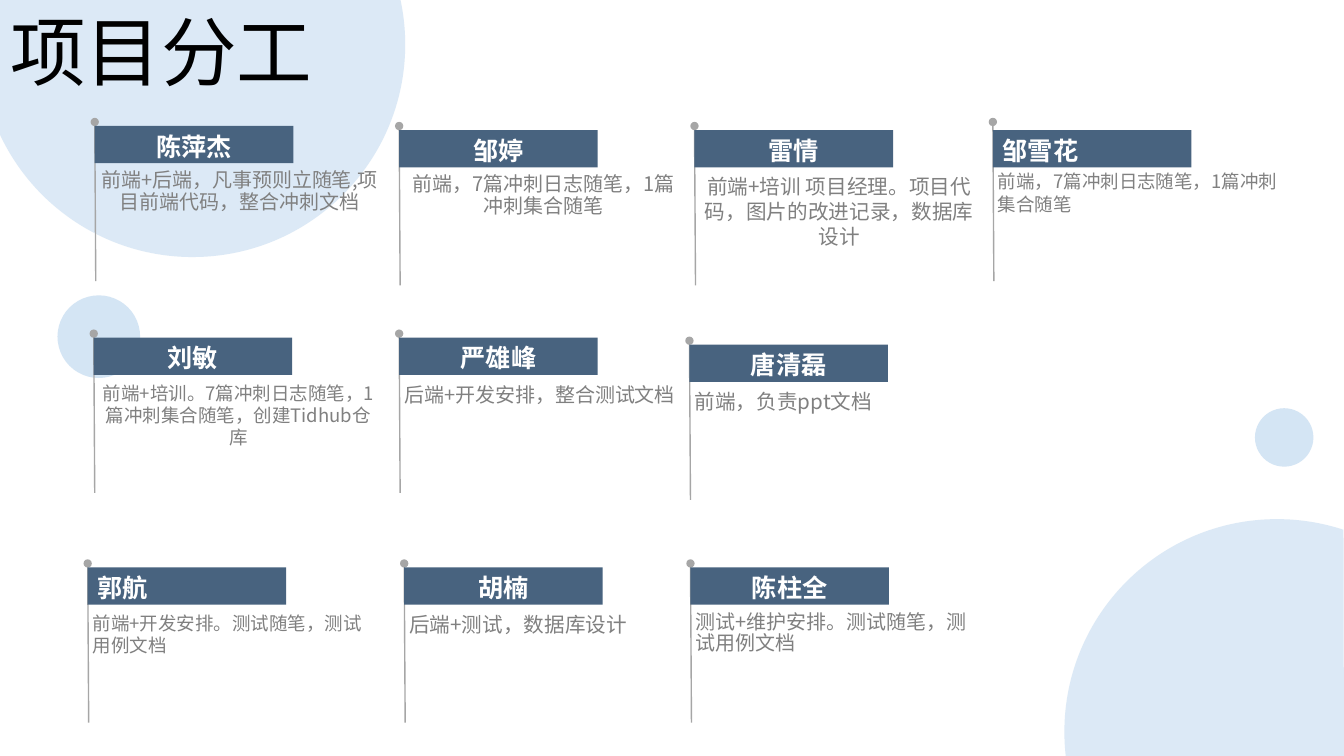
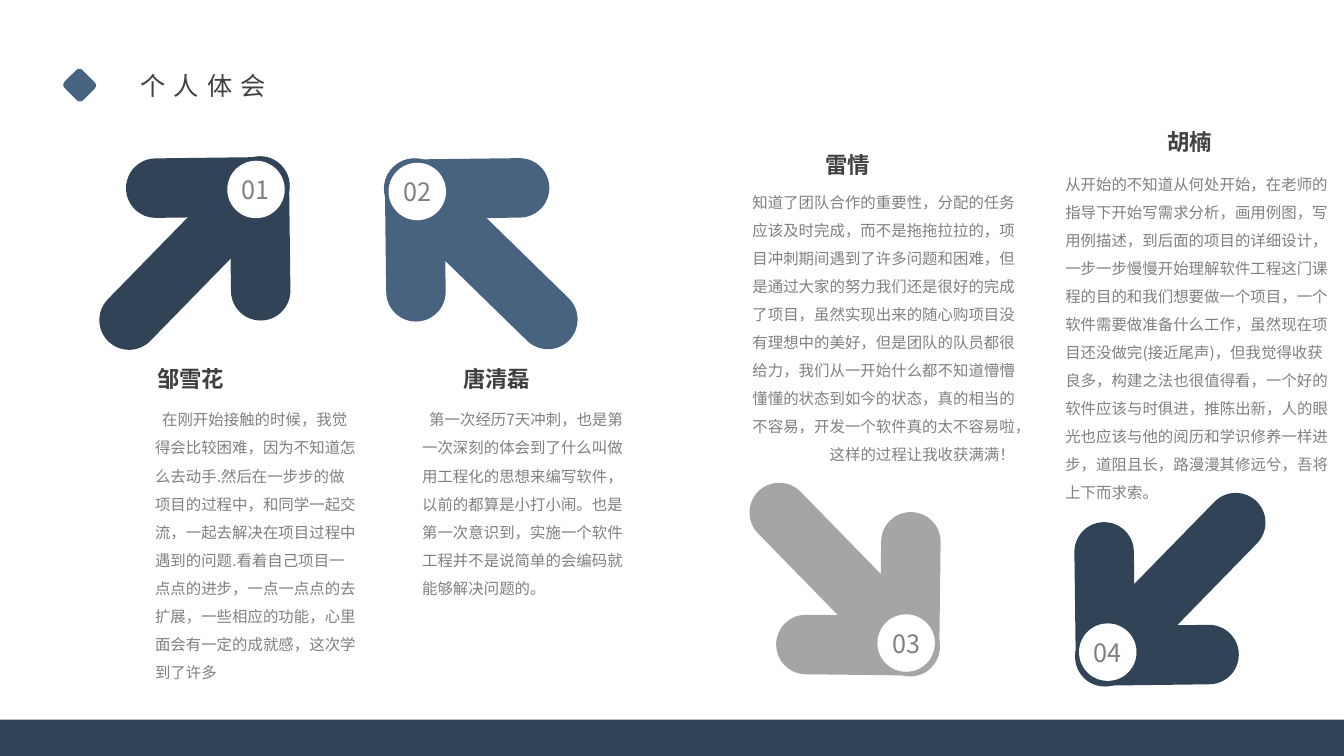
from math import cos, radians, sin, tan

from lxml import etree
from pptx import Presentation
from pptx.dml.color import RGBColor
from pptx.enum import shapes, text
from pptx.oxml import ns
from pptx.util import Pt

PX = 9144  # 100 px to the inch
SLIDE_W, SLIDE_H = 4000 / 3, 750  # 16:9
FONT = "Noto Sans CJK SC"
TITLE_ONLY = 5

NAVY = RGBColor(0x31, 0x44, 0x57)
STEEL = RGBColor(0x48, 0x63, 0x7F)
SKY = RGBColor(0xBD, 0xD7, 0xEE)
SILVER = RGBColor(0xA5, 0xA5, 0xA5)
POLE = RGBColor(0xA6, 0xA6, 0xA6)
BODY = RGBColor(0x80, 0x80, 0x80)
HEADING = RGBColor(0x40, 0x40, 0x40)
BLACK = RGBColor(0, 0, 0)
WHITE = RGBColor(0xFF, 0xFF, 0xFF)

LEFT, CENTER, RIGHT = text.PP_ALIGN.LEFT, text.PP_ALIGN.CENTER, text.PP_ALIGN.RIGHT
TOP, MIDDLE = text.MSO_ANCHOR.TOP, text.MSO_ANCHOR.MIDDLE
SHAPE = shapes.MSO_SHAPE

# x, y, name, task, task size, name alignment, task alignment, line spacing
# and, where it is unusual, the drop from pole top to flag
CARDS = [
    (94, 121, "陈萍杰", "前端+后端，凡事预则立随笔,项目前端代码，整合冲刺文档",
     14.3, CENTER, CENTER, 0.9),
    (396, 125, "邹婷", "前端，7篇冲刺日志随笔，1篇冲刺集合随笔",
     14.3, CENTER, CENTER, 0.9),
    (689, 125, "雷情", "前端+培训 项目经理。项目代码，图片的改进记录，数据库设计",
     14.7, CENTER, CENTER, 1.0),
    (985, 121, "邹雪花", "前端，7篇冲刺日志随笔，1篇冲刺集合随笔",
     13.2, LEFT, LEFT, 1.0, 8),
    (93, 331, "刘敏", "前端+培训。7篇冲刺日志随笔，1篇冲刺集合随笔，创建Tidhub仓库",
     13.2, CENTER, CENTER, 1.0),
    (396, 331, "严雄峰", "后端+开发安排，整合测试文档", 14.3, CENTER, LEFT, 1.0),
    (684, 338, "唐清磊", "前端，负责ppt文档", 14.7, CENTER, LEFT, 1.0),
    (87, 559, "郭航", "前端+开发安排。测试随笔，测试用例文档",
     13.2, LEFT, LEFT, 1.0),
    (401, 559, "胡楠", "后端+测试，数据库设计", 14.7, CENTER, LEFT, 1.0),
    (685, 559, "陈柱全", "测试+维护安排。测试随笔，测试用例文档",
     14.3, CENTER, LEFT, 0.9),
]

# number, tip, badge centre, sides of the tail, tilt, colour
ARROWS = [
    ("01", (258, 186), (254, 188), (-1, 1), -0.7, NAVY),
    ("02", (412, 187), (414, 190), (1, 1), -0.7, STEEL),
    ("03", (903, 640), (899, 638), (-1, -1), 0.7, SILVER),
    ("04", (1096, 650), (1099, 647), (1, -1), -0.7, NAVY),
]

# name, name box (x, y), name alignment, text box, text alignment, indent, text
REFLECTIONS = [
    ("邹雪花", (146, 357), LEFT, (144, 393, 220, 290), LEFT, 7,
     "在刚开始接触的时候，我觉得会比较困难，因为不知道怎么去动手."
     "然后在一步步的做项目的过程中，和同学一起交流，一起去解决在项目过程中遇到的问题."
     "看着自己项目一点点的进步，一点一点点的去扩展，一些相应的功能，"
     "心里面会有一定的成就感，这次学到了许多"),
    ("唐清磊", (417, 357), RIGHT, (409, 393, 220, 206), LEFT, 7,
     "第一次经历7天冲刺，也是第一次深刻的体会到了什么叫做用工程化的思想来编写软件，"
     "以前的都算是小打小闹。也是第一次意识到，"
     "实施一个软件工程并不是说简单的会编码就能够解决问题的。"),
    ("雷情", (809, 145), LEFT, (726, 177, 291, 290), RIGHT, 0,
     "知道了团队合作的重要性，分配的任务应该及时完成，而不是拖拖拉拉的，"
     "项目冲刺期间遇到了许多问题和困难，但是通过大家的努力我们还是很好的完成了项目，"
     "虽然实现出来的随心购项目没有理想中的美好，但是团队的队员都很给力，"
     "我们从一开始什么都不知道懵懵懂懂的状态到如今的状态，真的相当的不容易，"
     "开发一个软件真的太不容易啦，这样的过程让我收获满满！"),
    ("胡楠", (1148, 122), LEFT, (1047, 159, 286, 347), LEFT, 0,
     "从开始的不知道从何处开始，在老师的指导下开始写需求分析，画用例图，写用例描述，"
     "到后面的项目的详细设计，一步一步慢慢开始理解软件工程这门课程的目的和我们想要做一个项目，"
     "一个软件需要做准备什么工作，虽然现在项目还没做完(接近尾声)，但我觉得收获良多，"
     "构建之法也很值得看，一个好的软件应该与时俱进，推陈出新，"
     "人的眼光也应该与他的阅历和学识修养一样进步，道阻且长，路漫漫其修远兮，吾将上下而求索。"),
]


def emu(*lengths):
    return [round(length * PX) for length in lengths]


def paint(sp, color, opacity=100):
    sp.shadow.inherit = False
    sp.fill.solid()
    sp.fill.fore_color.rgb = color
    sp.line.fill.background()
    if opacity < 100:
        clr = sp.fill._xPr.find(".//" + ns.qn("a:srgbClr"))
        etree.SubElement(clr, ns.qn("a:alpha"), val=str(opacity * 1000))


def write(sp, words, size, color, align=LEFT, anchor=TOP, bold=False,
          inset=None, spacing=None, indent=0, tracking=0):
    """Put one formatted paragraph into a shape."""
    tf = sp.text_frame
    tf.text = words
    tf.word_wrap = True
    tf.auto_size = text.MSO_AUTO_SIZE.NONE
    tf.vertical_anchor = anchor
    if inset is not None:
        tf.margin_left = tf.margin_right = tf.margin_top = tf.margin_bottom = inset
    p = tf.paragraphs[0]
    p.alignment = align
    if spacing:
        p.line_spacing = spacing
    if indent:
        p._p.get_or_add_pPr().set("indent", str(indent * PX))
    r = p.runs[0]
    r.font.size, r.font.bold, r.font.name = Pt(size), bold, FONT
    r.font.color.rgb = color
    rpr = r._r.get_or_add_rPr()
    etree.SubElement(rpr, ns.qn("a:ea"), typeface=FONT)
    if tracking:
        rpr.set("spc", str(tracking * 100))


def add_text(slide, box, words, size, color, **style):
    write(slide.shapes.add_textbox(*emu(*box)), words, size, color, **style)


def add_block(slide, kind, box, color, opacity=100):
    sp = slide.shapes.add_shape(kind, *emu(*box))
    paint(sp, color, opacity)
    return sp


def add_title(slide, box, words, size, color, tracking=0):
    """Fill the title placeholder and bring it to the front."""
    title = slide.shapes.title
    title.left, title.top, title.width, title.height = emu(*box)
    write(title, words, size, color, tracking=tracking)
    title._element.getparent().append(title._element)


def add_clipped_disc(slide, cx, cy, radius, stops, corner):
    """Draw the part of a disc inside the slide: arcs between stops, and a corner."""
    angles = [radians(stop) for stop in stops]
    points = [emu(cx + radius * cos(a), cy + radius * sin(a)) for a in angles]
    outline = slide.shapes.build_freeform(*emu(*corner), scale=1.0)
    outline.add_line_segments(points, close=True)
    sp = outline.convert_to_shape()
    paint(sp, SKY, 53)
    arcs = list(sp._element.iter(ns.qn("a:lnTo")))[1:len(points)]
    for arc, a, b in zip(arcs, angles, angles[1:]):
        reach = 4 / 3 * tan((b - a) / 4)
        curve = etree.Element(ns.qn("a:cubicBezTo"))
        for angle, pull in ((a, reach), (b, -reach), (b, 0)):
            x, y = emu(cx + radius * (cos(angle) - pull * sin(angle)),
                       cy + radius * (sin(angle) + pull * cos(angle)))
            etree.SubElement(curve, ns.qn("a:pt"),
                             x=str(x - sp.left), y=str(y - sp.top))
        arc.getparent().replace(arc, curve)


def add_pole(slide, x, y):
    pole = slide.shapes.add_connector(
        shapes.MSO_CONNECTOR.STRAIGHT, *emu(x + 1, y + 158, x, y))
    pole.line.color.rgb = POLE
    pole.line.width = Pt(1)
    etree.SubElement(pole.line._get_or_add_ln(), ns.qn("a:tailEnd"), type="oval")
    etree.SubElement(pole._element.spPr, ns.qn("a:effectLst"))


def add_card(slide, x, y, name, task, size, name_align, task_align, spacing, drop=4):
    add_pole(slide, x, y)
    add_text(slide, (x + 5, y + 48, 277, 44), task, size, BODY,
             align=task_align, inset=0, spacing=spacing)
    flag = add_block(slide, SHAPE.RECTANGLE, (x, y + drop, 197, 37), STEEL)
    write(flag, name, 18, WHITE, align=name_align, bold=True)


def add_centered(slide, kind, cx, cy, w, h, color):
    return add_block(slide, kind, (cx - w / 2, cy - h / 2, w, h), color)


def add_arrow(slide, number, tip, badge_at, sides, tilt, color):
    """Build an arrow from three rounded bars and a numbered badge at its tip."""
    (x, y), (side_x, side_y) = tip, sides
    bars = [
        (0, 51, 162, 90),
        (52, 0, 162, 0),
        (65, 65, 245, 45 * side_x * side_y),
    ]
    for dx, dy, length, angle in bars:
        bar = add_centered(slide, SHAPE.ROUNDED_RECTANGLE,
                           x + side_x * dx, y + side_y * dy, length, 59, color)
        bar.adjustments[0] = 0.5
        bar.rotation = angle + tilt
    badge = add_centered(slide, SHAPE.OVAL, *badge_at, 57, 57, WHITE)
    write(badge, number, 18, BODY, align=CENTER, anchor=MIDDLE, inset=0)


def build_division(slide):
    add_block(slide, SHAPE.OVAL, (57, 293, 82, 82), SKY, 64)
    add_clipped_disc(slide, 191, 44, 211, (-12, 0, 90, 154.8), (0, 0))
    add_clipped_disc(slide, 1267, 726, 211, (173.5, 180, 270, 288.2),
                     (SLIDE_W, SLIDE_H))
    add_block(slide, SHAPE.OVAL, (1245, 405, 58, 58), SKY, 64)
    for card in CARDS:
        add_card(slide, *card)
    add_title(slide, (0, 0, 432, 101), "项目分工", 54, BLACK)


def build_reflections(slide):
    for arrow in ARROWS:
        add_arrow(slide, *arrow)
    for name, spot, name_align, box, align, indent, words in REFLECTIONS:
        add_text(slide, (*spot, 119, 37), name, 16, HEADING,
                 align=name_align, bold=True)
        add_text(slide, box, words, 11, BODY, align=align,
                 spacing=Pt(20), indent=indent)
    marker = add_block(slide, SHAPE.ROUNDED_RECTANGLE, (66, 72, 26, 25), STEEL)
    marker.rotation = 45
    add_block(slide, SHAPE.RECTANGLE, (0, 714, SLIDE_W, 36), NAVY)
    add_title(slide, (129, 65, 200, 40), "个人体会", 18, HEADING, tracking=6)


def main():
    prs = Presentation()
    prs.slide_width, prs.slide_height = emu(SLIDE_W, SLIDE_H)
    for build in (build_division, build_reflections):
        build(prs.slides.add_slide(prs.slide_layouts[TITLE_ONLY]))
    prs.save("out.pptx")


if __name__ == "__main__":
    main()
